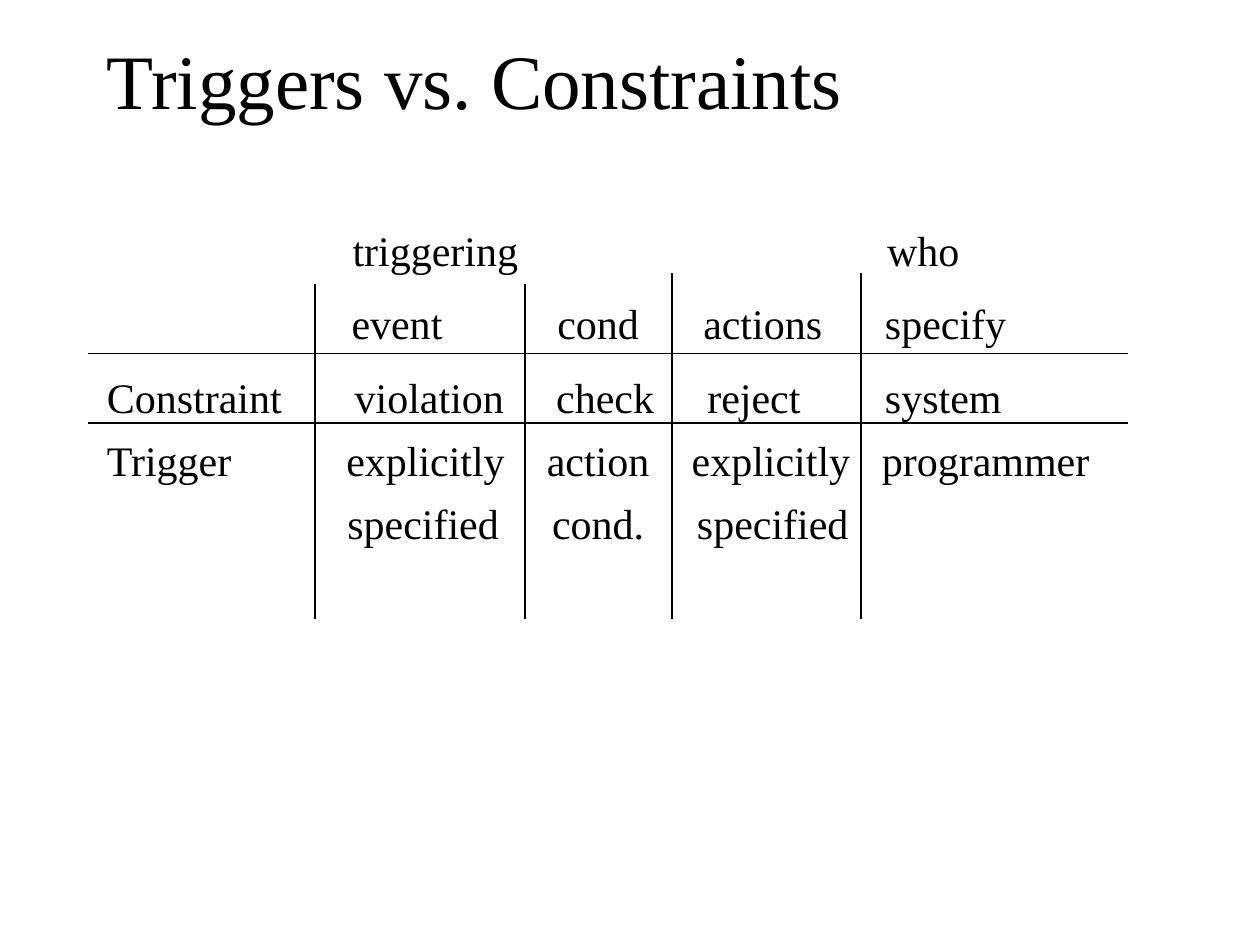
"""Build the Triggers vs. Constraints comparison slide."""
from lxml.etree import SubElement
from pptx import Presentation
from pptx.dml.color import RGBColor as RGB
from pptx.enum.shapes import MSO_CONNECTOR as CONN
from pptx.enum.text import MSO_ANCHOR as ANCHOR
from pptx.oxml.ns import qn
from pptx.util import Inches, Pt

THEME = {"font": "Times New Roman", "ink": RGB(0, 0, 0), "title": Pt(44),
         "body": Pt(24), "rule": Pt(0.75)}
COLS, ROWS = 120, 90
PAD = 1.2

prs = Presentation()
prs.slide_width, prs.slide_height = Inches(10), Inches(7.5)
s = prs.slides.add_slide(prs.slide_layouts[6])
CELL = prs.slide_width // COLS


def grid(*units):
    """Convert grid units to slide lengths."""
    return [round(u * CELL) for u in units]


def add_text(box, lines, size, **frame):
    """Add a text box of (text, space before, tab columns) lines."""
    tf = s.shapes.add_textbox(*grid(*box)).text_frame
    for name, value in {"word_wrap": True, **frame}.items():
        setattr(tf, name, value)
    for i, (text, before, stops) in enumerate(lines):
        p = tf.paragraphs[0] if i == 0 else tf.add_paragraph()
        p.space_before = Pt(before)
        r = p.add_run()
        r.text = text
        for name, value in {"name": THEME["font"], "size": size}.items():
            setattr(r.font, name, value)
        r.font.color.rgb = THEME["ink"]
        if stops:
            tabs = SubElement(p._p.get_or_add_pPr(), qn("a:tabLst"))
            for pos in grid(*(c - box[0] - PAD for c in stops)):
                SubElement(tabs, qn("a:tab"), pos=str(pos), algn="l")


add_text((9, 0, 102, 15), [("Triggers vs. Constraints", 0, [])],
         THEME["title"], vertical_anchor=ANCHOR.MIDDLE)

table_rows = [
    (["", "triggering", "who"], 0, [33.6, 84.5]),
    (["", "event", "cond", "actions", "specify"], 13, [33.5, 53.1, 67, 84.3]),
    (["Constraint", "violation", "check", "reject", "system"], 13,
     [33.8, 53, 67.4, 84.3]),
    (["Trigger", "explicitly", "action", "explicitly", "programmer"], 7.4,
     [33, 52.1, 65.9, 84]),
    (["", "specified", "cond.", "specified"], 7.4, [33.1, 52.6, 66.4]),
]
add_text((9, 19, 102, 61),
         [("\t".join(cells), before, stops) for cells, before, stops in table_rows],
         THEME["body"], margin_top=grid(2.4)[0])

row_rules = [(8.4, y, 107.4, y) for y in (33.7, 40.3)]
col_rules = [(x, top, x, 59) for x, top in ((30, 27), (50, 27), (64, 26), (82, 26))]
for ends in row_rules + col_rules:
    rule = s.shapes.add_connector(CONN.STRAIGHT, *grid(*ends))
    rule.line.color.rgb = THEME["ink"]
    rule.line.width = THEME["rule"]
    SubElement(rule._element.spPr, qn("a:effectLst"))

prs.save("out.pptx")
